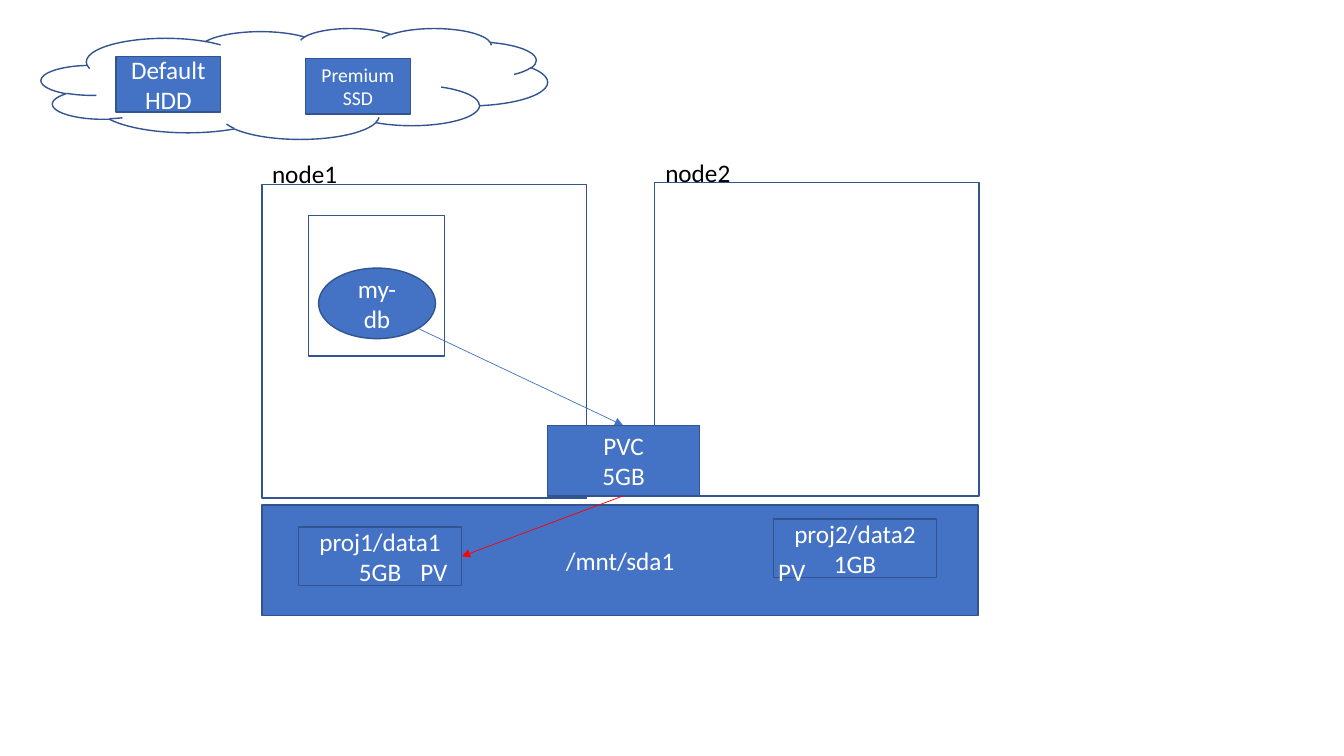
import pptx
import pptx.util
import pptx.dml.color
import pptx.enum.shapes
import pptx.enum.text
import pptx.oxml
import pptx.oxml.ns

Inches = pptx.util.Inches
Pt = pptx.util.Pt
RGBColor = pptx.dml.color.RGBColor
SHAPE = pptx.enum.shapes.MSO_SHAPE
ALIGN = pptx.enum.text.PP_ALIGN

BLUE = RGBColor(0x44, 0x72, 0xC4)
EDGE = RGBColor(0x32, 0x54, 0x91)
RED = RGBColor(0xFF, 0x00, 0x00)
WHITE = RGBColor(0xFF, 0xFF, 0xFF)
BLACK = RGBColor(0x00, 0x00, 0x00)


def write(tf, text, size=18, color=WHITE, align=ALIGN.CENTER):
    """Put one paragraph per line of text into the frame."""
    for i, line in enumerate(text.split("\n")):
        p = tf.add_paragraph() if i else tf.paragraphs[0]
        p.alignment = align
        r = p.add_run()
        r.text = line
        r.font.name = "Calibri"
        r.font.size = Pt(size)
        r.font.color.rgb = color


class Diagram:
    def __init__(self, s):
        self.s = s

    def shape(self, x, y, w, h, text="", kind=SHAPE.RECTANGLE, fill=BLUE, size=18):
        sp = self.s.shapes.add_shape(kind, Inches(x), Inches(y), Inches(w), Inches(h))
        sp.shadow.inherit = False
        if fill is None:
            sp.fill.background()
        else:
            sp.fill.solid()
            sp.fill.fore_color.rgb = fill
        sp.line.color.rgb = EDGE
        sp.line.width = Pt(1)
        if text:
            sp.text_frame.vertical_anchor = pptx.enum.text.MSO_ANCHOR.MIDDLE
            write(sp.text_frame, text, size=size)
        return sp

    def label(self, x, y, w, text, color=BLACK):
        sp = self.s.shapes.add_textbox(Inches(x), Inches(y), Inches(w), Inches(0.4))
        tf = sp.text_frame
        tf.word_wrap = False
        tf.auto_size = pptx.enum.text.MSO_AUTO_SIZE.SHAPE_TO_FIT_TEXT
        write(tf, text, color=color, align=ALIGN.LEFT)

    def arrow(self, x1, y1, x2, y2, color=BLUE):
        sp = self.s.shapes.add_connector(
            pptx.enum.shapes.MSO_CONNECTOR.STRAIGHT,
            Inches(x1), Inches(y1), Inches(x2), Inches(y2))
        sp.line.color.rgb = color
        sp.line.width = Pt(0.5)
        ns = pptx.oxml.ns.nsdecls("a")
        ln = sp.line._get_or_add_ln()
        ln.append(pptx.oxml.parse_xml(f'<a:tailEnd {ns} type="triangle"/>'))
        ln.addnext(pptx.oxml.parse_xml(f"<a:effectLst {ns}/>"))


prs = pptx.Presentation()
prs.slide_width = Inches(13.33)
prs.slide_height = Inches(7.5)
d = Diagram(prs.slides.add_slide(prs.slide_layouts[6]))

# Nodes
for x, y in ((2.6, 1.83), (6.49, 1.81)):
    d.shape(x, y, 3.22, 3.11, fill=None)
d.label(2.6, 1.52, 0.86, "node1")
d.label(6.5, 1.51, 0.86, "node2")

# Database pod
d.shape(3.06, 2.14, 1.35, 1.39, fill=None)
d.shape(3.16, 2.66, 1.16, 0.7, "my-db", kind=SHAPE.OVAL)
d.arrow(4.15, 3.26, 6.18, 4.22)

# Disk with its persistent volumes
d.shape(2.6, 5.01, 7.1, 1.1, "/mnt/sda1")
for x, y, text in ((2.96, 5.23, "proj1/data1\n5GB"), (7.67, 5.15, "proj2/data2\n1GB")):
    d.shape(x, y, 1.62, 0.58, text)
for x in (4.07, 7.62):
    d.label(x, 5.47, 0.47, "PV", color=WHITE)

# Volume claim
d.shape(5.43, 4.22, 1.51, 0.7, "PVC\n5GB")
d.arrow(6.18, 4.92, 4.58, 5.52, color=RED)

# Cloud storage classes
d.shape(0.41, 0.28, 5.02, 1.1, kind=SHAPE.CLOUD, fill=None)
for x, y, text, size in ((1.15, 0.56, "Default\nHDD", 18), (3.03, 0.58, "Premium\nSSD", 14)):
    d.shape(x, y, 1.04, 0.55, text, size=size)

prs.save("out.pptx")
